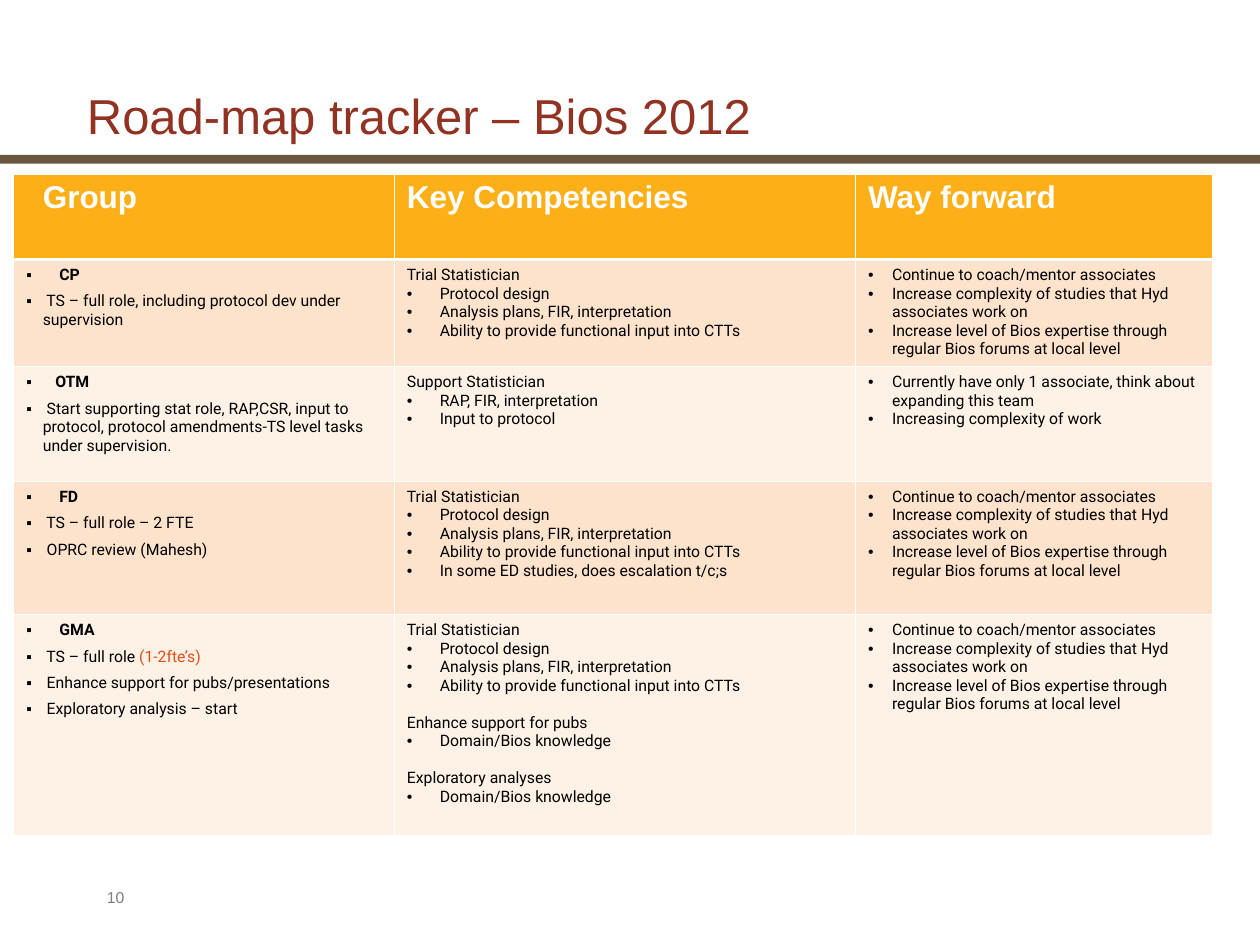
from lxml import etree
from pptx import Presentation
from pptx.dml.color import RGBColor
from pptx.enum import text
from pptx.oxml import ns
from pptx.util import Inches, Pt

WHITE = RGBColor(0xFF, 0xFF, 0xFF)
BLACK = RGBColor(0, 0, 0)
BROWN = RGBColor(0x6A, 0x55, 0x40)
RUST = RGBColor(0x92, 0x32, 0x22)
AMBER = RGBColor(0xFC, 0xAF, 0x17)
PEACH = RGBColor(0xFE, 0xE3, 0xCC)
CREAM = RGBColor(0xFE, 0xF2, 0xE7)
ORANGE = RGBColor(0xE4, 0x4C, 0x16)
GREY = RGBColor(0x7F, 0x7F, 0x7F)

TITLE = "Road-map tracker – Bios 2012"
PAGE_NUMBER = "10"
HEADERS = ["Group", "Key Competencies", "Way forward"]
COLUMN_WIDTHS = [3.02, 3.66, 2.83]
ROW_HEIGHTS = [0.68, 0.85, 0.91, 1.06, 1.75]

TRIAL_POINTS = [
    " Protocol design",
    " Analysis plans, FIR, interpretation",
    " Ability to provide functional input into CTTs",
]
COACHING = [
    "Continue to coach/mentor associates",
    "Increase complexity of studies that Hyd associates work on",
    "Increase level of Bios expertise through regular Bios forums at local level",
]
# Each row: group name, tasks (each a list of text and colour), competencies by role, way forward
ROWS = [
    (" CP",
     [[(" TS – full role, including protocol dev under supervision", BLACK)]],
     [("Trial Statistician", TRIAL_POINTS)],
     COACHING),
    ("OTM",
     [[(" Start supporting stat role, RAP,CSR, input to protocol, protocol "
        "amendments-TS level tasks under supervision.", BLACK)]],
     [("Support Statistician", [" RAP, FIR, interpretation", " Input to protocol"])],
     ["Currently have only 1 associate, think about expanding this team",
      "Increasing complexity of work"]),
    (" FD",
     [[(" TS – full role – 2 FTE", BLACK)], [(" OPRC review (Mahesh)", BLACK)]],
     [("Trial Statistician", TRIAL_POINTS + [" In some ED studies, does escalation t/c;s"])],
     COACHING),
    (" GMA",
     [[(" TS – full role ", BLACK), ("(1-2fte’s)", ORANGE)],
      [(" Enhance support for pubs/presentations", BLACK)],
      [(" Exploratory analysis – start", BLACK)]],
     [("Trial Statistician", TRIAL_POINTS),
      ("Enhance support for pubs", [" Domain/Bios knowledge"]),
      ("Exploratory analyses", [" Domain/Bios knowledge"])],
     COACHING),
]


def add_span(para, words, size, color, font="Roboto", bold=False):
    span = para.add_run()
    span.text = words
    span.font.name = font
    span.font.size = Pt(size)
    span.font.bold = bold
    span.font.color.rgb = color


def next_para(frame):
    """Return the frame's first paragraph while unused, then new ones."""
    first = frame.paragraphs[0]
    return first if not first.runs else frame.add_paragraph()


def set_bullet(para, mark, indent):
    props = para._p.get_or_add_pPr()
    props.set("marL", str(Inches(indent)))
    props.set("indent", str(-Inches(indent)))
    color = etree.SubElement(props, ns.qn("a:buClr"))
    etree.SubElement(color, ns.qn("a:srgbClr"), val=str(BLACK))
    etree.SubElement(props, ns.qn("a:buFont"), typeface="Arial")
    etree.SubElement(props, ns.qn("a:buChar"), char=mark)


def add_line(frame, spans, mark=None, indent=0, bold=False, before=0, after=0):
    para = next_para(frame)
    if mark:
        set_bullet(para, mark, indent)
    para.space_before, para.space_after = Pt(before), Pt(after)
    for words, color in spans:
        add_span(para, words, 9, color, bold=bold)


def style_cell(cell, fill, top, bottom):
    """Give a cell white borders, then its fill; top and bottom are line widths."""
    props = cell._tc.get_or_add_tcPr()
    for side, width in (("L", 0.45), ("R", 0.45), ("T", top), ("B", bottom)):
        line = etree.SubElement(props, ns.qn(f"a:ln{side}"), w=str(Pt(width)))
        solid = etree.SubElement(line, ns.qn("a:solidFill"))
        etree.SubElement(solid, ns.qn("a:srgbClr"), val=str(WHITE))
    cell.fill.solid()
    cell.fill.fore_color.rgb = fill


def fill_header(table):
    for column, label in enumerate(HEADERS):
        cell = table.cell(0, column)
        style_cell(cell, AMBER, 0.45, 1.47)
        para = cell.text_frame.paragraphs[0]
        if column == 0:
            para._p.get_or_add_pPr().set("marL", str(Inches(0.13)))
            para.space_after = Pt(9)
        add_span(para, label, 18, WHITE, "Arial", True)


def fill_row(table, number, group, tasks, roles, actions):
    cells = [table.cell(number, column) for column in range(3)]
    for cell in cells:
        style_cell(cell, PEACH if number % 2 else CREAM, 1.47 if number == 1 else 0.45, 0.45)
    group_frame, role_frame, action_frame = [cell.text_frame for cell in cells]

    add_line(group_frame, [(group, BLACK)], "▪", 0.23, bold=True, after=4.5)
    for spans in tasks:
        add_line(group_frame, spans, "▪", 0.13, after=4.5)
    for index, (role, points) in enumerate(roles):
        add_line(role_frame, [(role, BLACK)], before=10.5 if index else 0)
        for point in points:
            add_line(role_frame, [(point, BLACK)], "•", 0.23)
    for action in actions:
        add_line(action_frame, [(action, BLACK)], "•", 0.19)


def main():
    deck = Presentation()
    deck.slide_width, deck.slide_height = Inches(10), Inches(7.5)
    page = deck.slides.add_slide(deck.slide_layouts[5])

    rule = page.shapes.add_shape(1, 0, Inches(1.23), Inches(10), Inches(0.07))
    rule.shadow.inherit = False
    rule.fill.solid()
    rule.fill.fore_color.rgb = BROWN
    rule.line.fill.background()

    title = page.shapes.title
    title.left, title.top = Inches(0.59), Inches(0.67)
    title.width, title.height = Inches(9.07), Inches(0.54)
    title.text_frame.vertical_anchor = text.MSO_ANCHOR.BOTTOM
    title.text_frame.auto_size = text.MSO_AUTO_SIZE.NONE
    para = title.text_frame.paragraphs[0]
    para.alignment = text.PP_ALIGN.LEFT
    para.line_spacing = 0.95
    add_span(para, TITLE, 28, RUST, "Arial")

    table = page.shapes.add_table(
        len(ROW_HEIGHTS), len(COLUMN_WIDTHS), Inches(0.11), Inches(1.38),
        Inches(sum(COLUMN_WIDTHS)), Inches(sum(ROW_HEIGHTS))).table
    table.horz_banding = False
    for column, width in zip(table.columns, COLUMN_WIDTHS):
        column.width = Inches(width)
    for row, height in zip(table.rows, ROW_HEIGHTS):
        row.height = Inches(height)
    fill_header(table)
    for number, content in enumerate(ROWS, start=1):
        fill_row(table, number, *content)

    box = page.shapes.add_textbox(Inches(0.75), Inches(7), Inches(7.08), Inches(0.27))
    box.text_frame.word_wrap = True
    add_span(box.text_frame.paragraphs[0], PAGE_NUMBER, 9, GREY, "Arial")

    deck.save("out.pptx")


if __name__ == "__main__":
    main()
